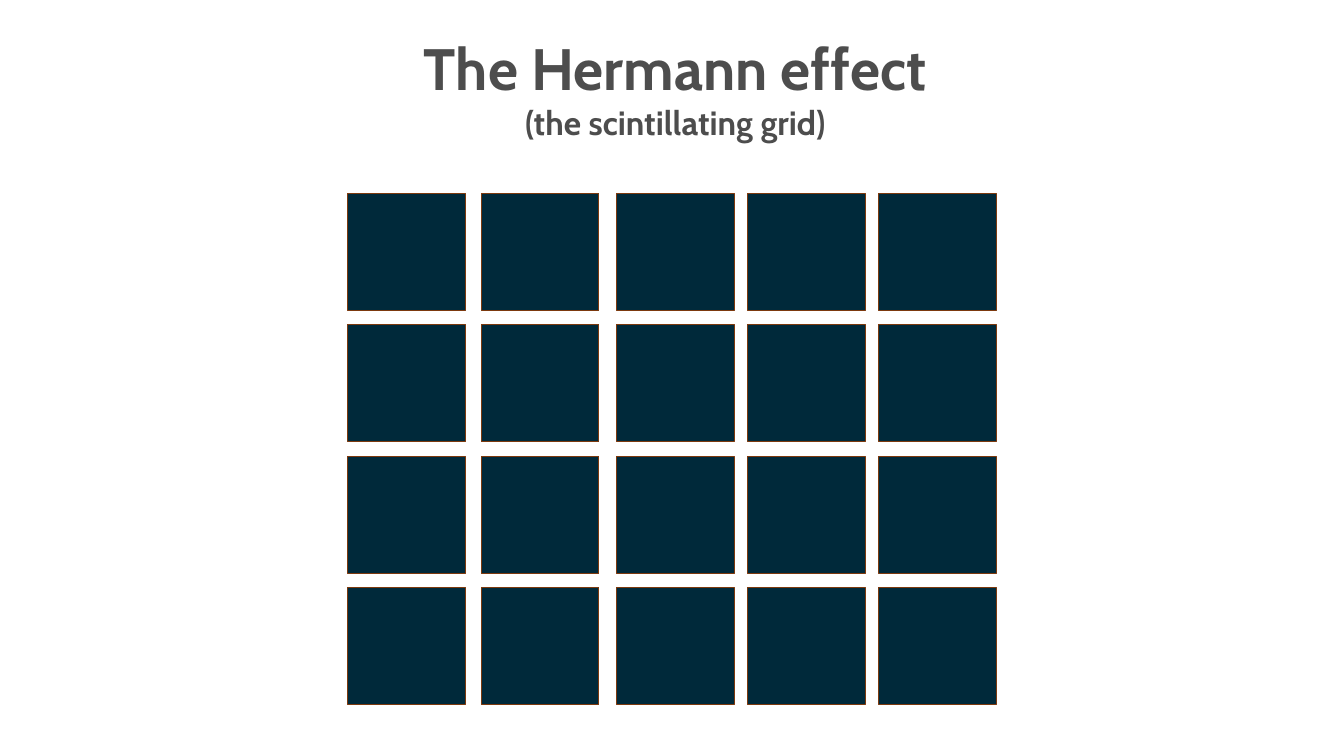
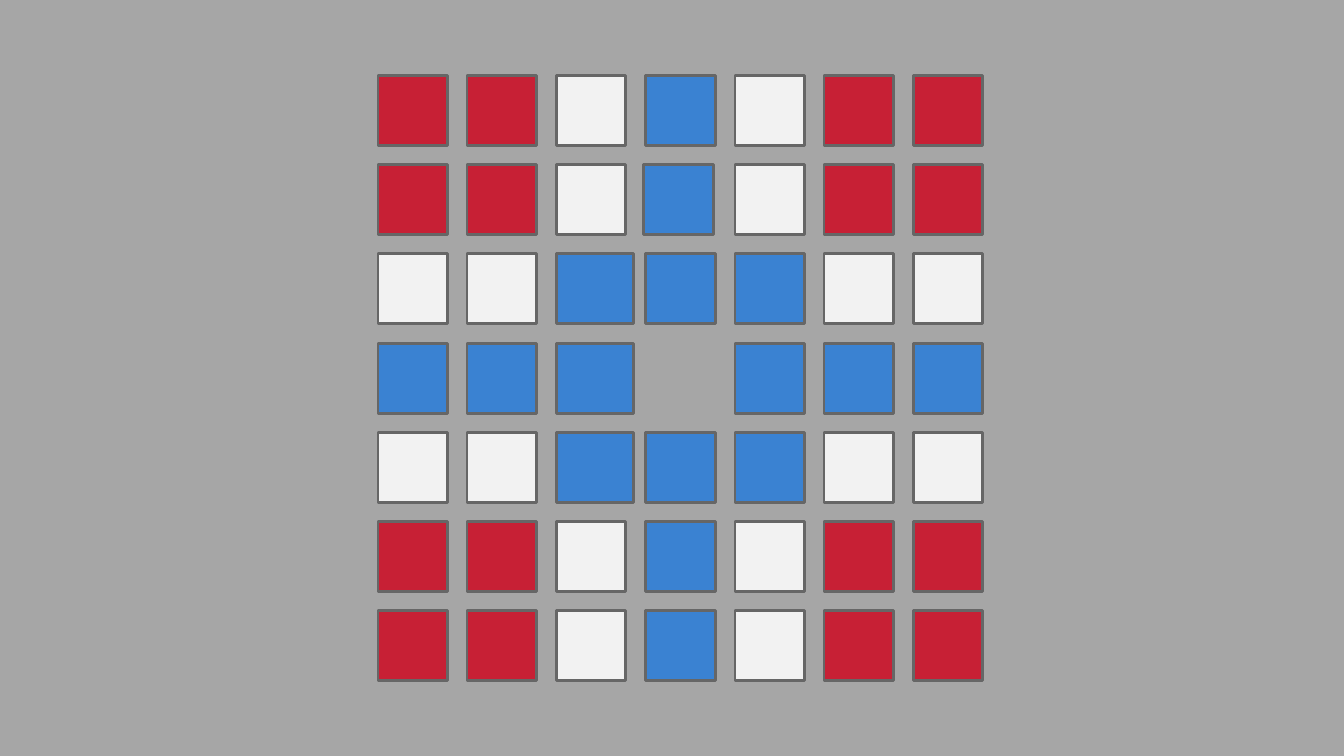
from pptx import Presentation
from pptx import util as u
from pptx.dml.color import RGBColor
from pptx.enum import shapes, text

PX = u.Inches(1) // 100

WHITE = RGBColor(0xFF, 0xFF, 0xFF)
GRAY = RGBColor(0xA6, 0xA6, 0xA6)
TITLE_GRAY = RGBColor(0x4D, 0x4D, 0x4D)
NAVY = RGBColor(0x00, 0x29, 0x3A)
BROWN = RGBColor(0x7C, 0x39, 0x0E)
EDGE_GRAY = RGBColor(0x66, 0x66, 0x66)
TILE_COLORS = {
    "R": RGBColor(0xC7, 0x20, 0x35),
    "W": RGBColor(0xF2, 0xF2, 0xF2),
    "B": RGBColor(0x3A, 0x82, 0xD2),
}

deck = Presentation()
deck.slide_width = 1600 * PX
deck.slide_height = 900 * PX


def add_page(background):
    page = deck.slides.add_slide(deck.slide_layouts[6])
    page.background.fill.solid()
    page.background.fill.fore_color.rgb = background
    return page


def add_tile(page, left, top, width, height, fill, edge, edge_width):
    tile = page.shapes.add_shape(
        shapes.MSO_SHAPE.RECTANGLE, left * PX, top * PX, width * PX, height * PX)
    tile.shadow.inherit = False
    tile.fill.solid()
    tile.fill.fore_color.rgb = fill
    tile.line.color.rgb = edge
    tile.line.width = u.Pt(edge_width)


page = add_page(WHITE)
for top in (230, 386, 543, 699):
    for left in (414, 573, 734, 890, 1046):
        add_tile(page, left, top, 140, 140, NAVY, BROWN, 0.85)

box = page.shapes.add_textbox(204 * PX, 33 * PX, 1200 * PX, 143 * PX)
frame = box.text_frame
frame.word_wrap = True
frame.auto_size = text.MSO_AUTO_SIZE.SHAPE_TO_FIT_TEXT
frame.text = "The Hermann effect\n(the scintillating grid)"
for para, size in zip(frame.paragraphs, (50, 28.8)):
    para.alignment = text.PP_ALIGN.CENTER
    for span in para.runs:
        span.font.name = "Cabin"
        span.font.size = u.Pt(size)
        span.font.bold = True
        span.font.color.rgb = TITLE_GRAY

PATTERN = (
    "RRWBWRR",
    "RRWBWRR",
    "WWBBBWW",
    "BBB BBB",
    "WWBBBWW",
    "RRWBWRR",
    "RRWBWRR",
)
TILE = 83
PITCH = 106.2

page = add_page(GRAY)
for row, letters in enumerate(PATTERN):
    for col, letter in enumerate(letters):
        if letter == " ":
            continue
        left = 450 + round(col * PITCH)
        top = 90 + round(row * PITCH)
        if (row, col) == (1, 3):
            left -= 3
        width = 92 if col == 2 and letter == "B" else TILE
        add_tile(page, left, top, width, TILE, TILE_COLORS[letter], EDGE_GRAY, 2.5)

deck.save("out.pptx")
